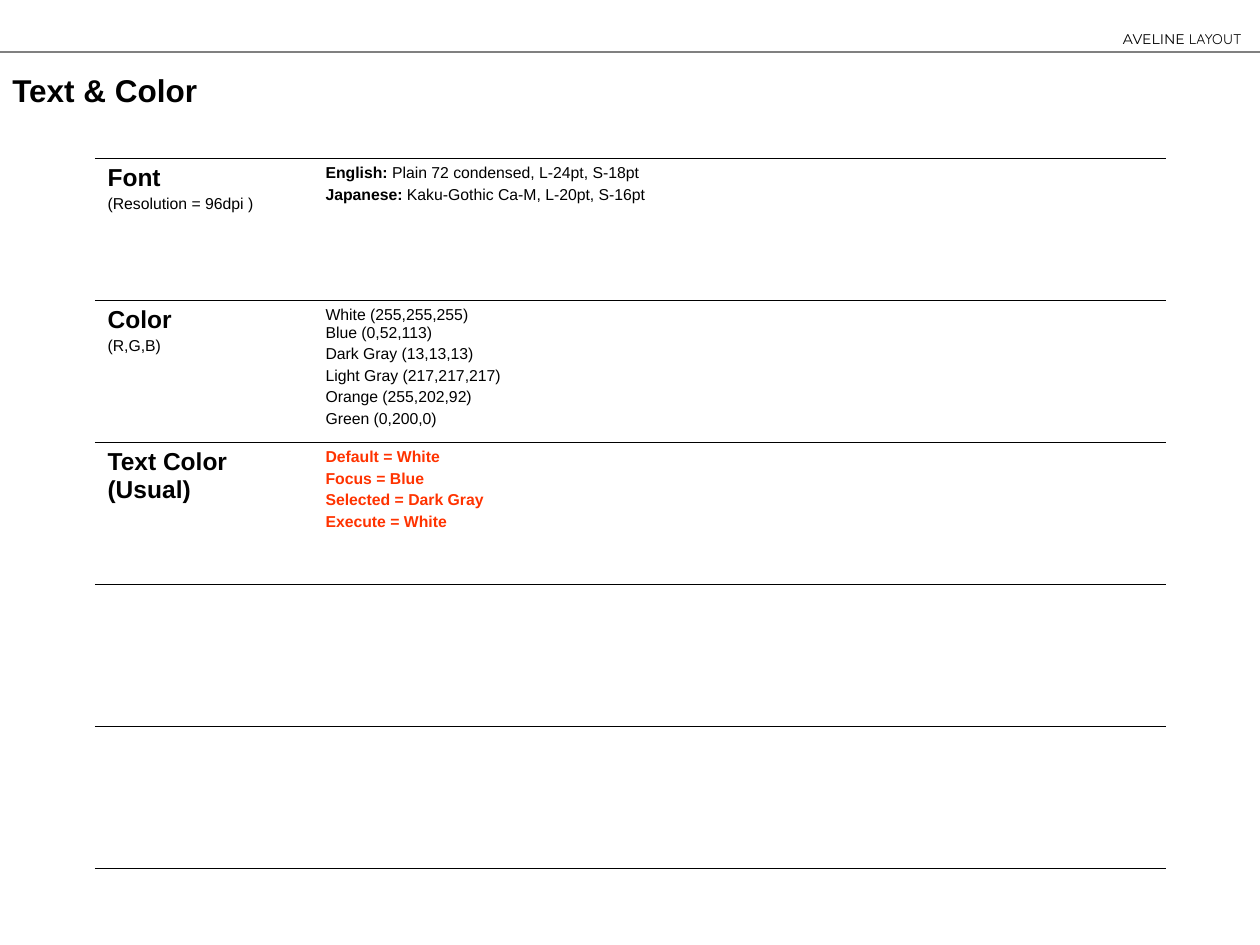
from lxml import etree
from pptx import Presentation
from pptx.dml.color import RGBColor
from pptx.enum.shapes import MSO_CONNECTOR
from pptx.enum.text import MSO_ANCHOR, PP_ALIGN
from pptx.oxml.ns import qn
from pptx.util import Pt

STRAIGHT = MSO_CONNECTOR.STRAIGHT
MIDDLE = MSO_ANCHOR.MIDDLE
RIGHT = PP_ALIGN.RIGHT

PX = 914400 // 126  # EMU per px
THEME = {
    "black": "000000", "rule": "808080", "accent": "FF3300",
    "font": "Arial", "header": "Montserrat", "header_light": "Quicksand",
    "title": 18, "heading": 14, "body": 9, "small": 8,
}


def write(paragraph, text, font="font", size="body", color="black", bold=False):
    """Add text to a paragraph; a newline becomes a line break."""
    for number, line in enumerate(text.split("\n")):
        if number:
            paragraph.add_line_break()
        run = paragraph.add_run()
        run.text = line
        run.font.name = THEME[font]
        run.font.size = Pt(THEME[size])
        run.font.bold = bold
        run.font.color.rgb = RGBColor.from_string(THEME[color])


def set_borders(cell):
    """Rule a cell above and below only."""
    properties = cell._tc.get_or_add_tcPr()
    for side in ("a:lnL", "a:lnR", "a:lnT", "a:lnB"):
        line = etree.SubElement(properties, qn(side), w=str(Pt(0.45)))
        if side in ("a:lnL", "a:lnR"):
            etree.SubElement(line, qn("a:noFill"))
        else:
            fill = etree.SubElement(line, qn("a:solidFill"))
            etree.SubElement(fill, qn("a:srgbClr"), val=THEME["black"])


presentation = Presentation()
presentation.slide_width = 1260 * PX
presentation.slide_height = 945 * PX
slide = presentation.slides.add_slide(presentation.slide_layouts[6])

# Header rule
header_rule = slide.shapes.add_connector(STRAIGHT, 0, 52 * PX, 1260 * PX, 52 * PX)
header_rule.line.color.rgb = RGBColor.from_string(THEME["rule"])
header_rule.line.width = Pt(1.5)
etree.SubElement(header_rule._element.spPr, qn("a:effectLst"))

# Header label
header = slide.shapes.add_textbox(1109 * PX, 24 * PX, 145 * PX, 30 * PX).text_frame
header.word_wrap = True
header.paragraphs[0].alignment = RIGHT
write(header.paragraphs[0], "AVELINE", font="header", size="small")
write(header.paragraphs[0], " LAYOUT", font="header_light", size="small")

# Title
title = slide.shapes.add_textbox(0, 65 * PX, 214 * PX, 50 * PX).text_frame
title.word_wrap = True
title.vertical_anchor = MIDDLE
write(title.paragraphs[0], "Text & Color", size="title", bold=True)

# Guideline rows: heading, note, then paragraphs of (text, bold) runs and their colour
guidelines = [
    ("Font", "(Resolution = 96dpi )", "black", [
        [("English:", True), (" Plain 72 condensed, L-24pt, S-18pt", False)],
        [("Japanese:", True), (" Kaku-Gothic Ca-M, L-20pt, S-16pt", False)],
    ]),
    ("Color", "(R,G,B)", "black", [
        [("White (255,255,255)\nBlue (0,52,113)", False)],
        [("Dark Gray (13,13,13)", False)],
        [("Light Gray (217,217,217)", False)],
        [("Orange (255,202,92)", False)],
        [("Green (0,200,0)", False)],
    ]),
    ("Text Color\n(Usual)", "", "accent", [
        [("Default = White", True)],
        [("Focus = Blue", True)],
        [("Selected = Dark Gray", True)],
        [("Execute = White", True)],
    ]),
]
column_widths = [218, 535, 318]
row_count, row_height = 5, 142

# Guideline table
table = slide.shapes.add_table(
    row_count, len(column_widths), 95 * PX, 158 * PX,
    sum(column_widths) * PX, row_count * row_height * PX).table
table.first_row = False
table.horz_banding = False
for column, width in zip(table.columns, column_widths):
    column.width = width * PX
for row in table.rows:
    row.height = row_height * PX
for cell in table.iter_cells():
    set_borders(cell)
    cell.fill.background()

# Table text
for row, (heading, note, color, details) in enumerate(guidelines):
    heading_frame = table.cell(row, 0).text_frame
    write(heading_frame.paragraphs[0], heading, size="heading", bold=True)
    if note:
        note_line = heading_frame.add_paragraph()
        note_line.space_before = Pt(2.2)
        write(note_line, note)

    detail_frame = table.cell(row, 1).text_frame
    for number, runs in enumerate(details):
        detail = detail_frame.add_paragraph() if number else detail_frame.paragraphs[0]
        if number:
            detail.space_before = Pt(2.2)
        for text, bold in runs:
            write(detail, text, color=color, bold=bold)

presentation.save("out.pptx")
